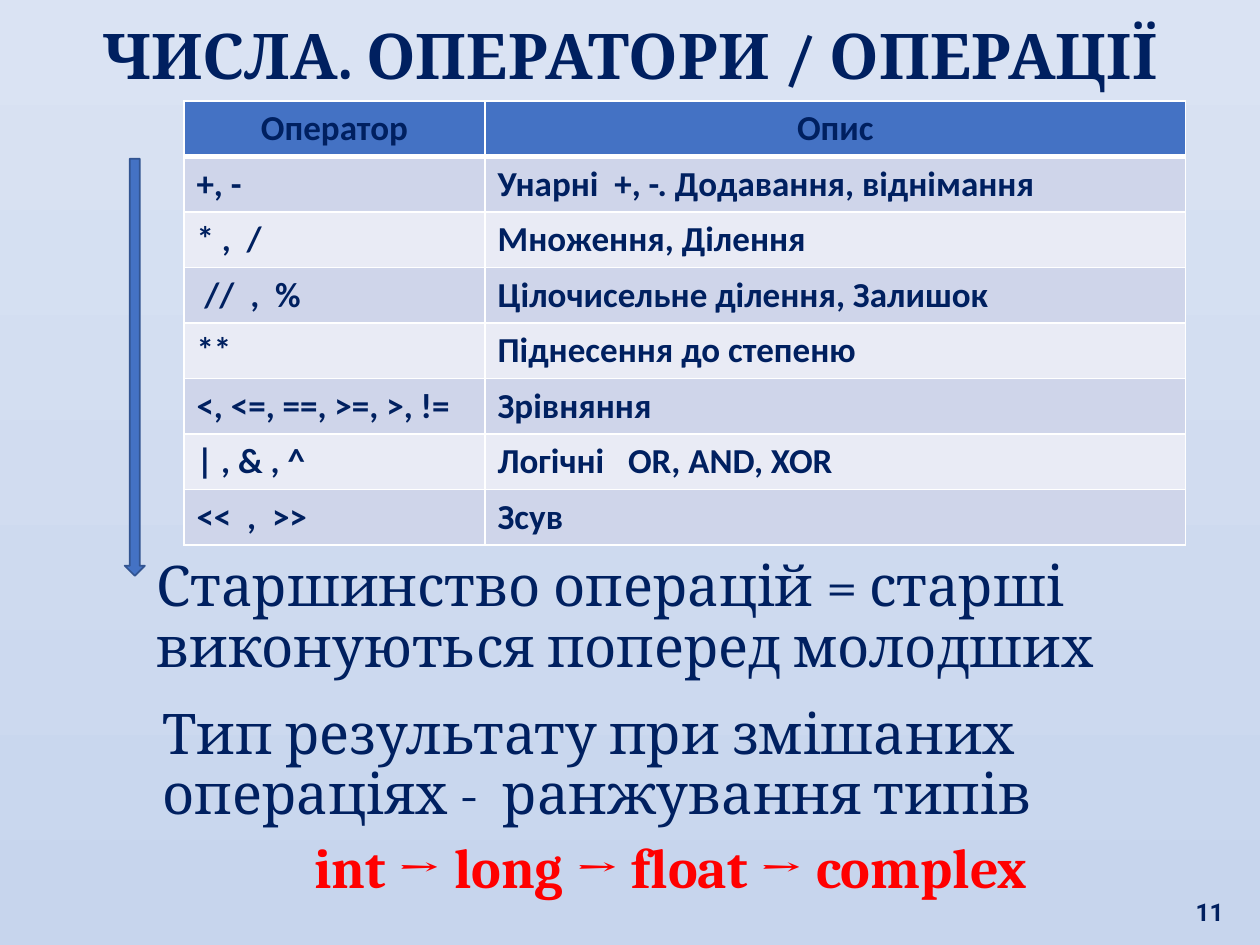
from lxml import etree
from pptx import Presentation
from pptx import util as u
from pptx.dml.color import RGBColor
from pptx.enum import shapes, text
from pptx.oxml.ns import qn

THEME = {
    "ink": RGBColor.from_string("002060"),
    "accent": RGBColor.from_string("4472C4"),
    "accent_edge": RGBColor.from_string("325491"),
    "alert": RGBColor.from_string("FF0000"),
    "bands": [RGBColor.from_string("E9EBF5"), RGBColor.from_string("CFD5EA")],
    "background": [RGBColor.from_string("DAE3F3"), RGBColor.from_string("C7D5ED")],
    "border": "FFFFFF",
    "title": {"name": "Cambria", "size": u.Pt(36), "bold": True},
    "body": {"name": "Cambria", "size": u.Pt(32), "bold": False},
    "ranking": {"name": "Cambria", "size": u.Pt(32), "bold": True},
    "table": {"name": "Calibri", "size": u.Pt(20), "bold": True},
    "number": {"name": "Roboto", "size": u.Pt(14), "bold": True},
}
ALIGN = text.PP_ALIGN

presentation = Presentation()
presentation.slide_width, presentation.slide_height = u.Inches(10), u.Inches(7.5)
slide = presentation.slides.add_slide(presentation.slide_layouts.get_by_name("Two Content"))


def box(left, top, width, height):
    """Turn percentages of the slide's size into lengths."""
    across, down = presentation.slide_width / 100, presentation.slide_height / 100
    return int(left * across), int(top * down), int(width * across), int(height * down)


def write(paragraph, words, style, align=ALIGN.LEFT, color="ink", **spacing):
    run = paragraph.add_run()
    run.text = words
    run.font.color.rgb = THEME[color]
    for name, value in THEME[style].items():
        setattr(run.font, name, value)
    for name, value in {"alignment": align, **spacing}.items():
        setattr(paragraph, name, value)


# Background
fill = slide.background.fill
fill.gradient()
fill.gradient_angle = 270
for stop, color in zip(fill.gradient_stops, THEME["background"]):
    stop.color.rgb = color

# Title and the two body texts
title, precedence, result_type = slide.placeholders
areas = [(1.2, 1.07, 97.6, 9.47), (11.4, 58.4, 82.7, 14.27), (11.9, 74, 82.7, 22.27)]
for shape, area in zip((title, precedence, result_type), areas):
    shape.left, shape.top, shape.width, shape.height = box(*area)
    frame = shape.text_frame
    frame.word_wrap = True
    frame.auto_size = text.MSO_AUTO_SIZE.NONE
    frame.vertical_anchor = text.MSO_ANCHOR.TOP

write(title.text_frame.paragraphs[0], "ЧИСЛА. ОПЕРАТОРИ / ОПЕРАЦІЇ", "title", ALIGN.CENTER)

spacing = {"line_spacing": 0.9, "space_before": u.Pt(7.5)}
write(precedence.text_frame.paragraphs[0],
      "Старшинство операцій = старші виконуються поперед молодших", "body", **spacing)
write(result_type.text_frame.paragraphs[0],
      "Тип результату при змішаних операціях -  ранжування типів", "body", **spacing)
write(result_type.text_frame.add_paragraph(),
      "int → long → float → complex", "ranking", ALIGN.CENTER, "alert", **spacing)

for shape in (precedence, result_type):
    for paragraph in shape.text_frame.paragraphs:
        properties = paragraph._p.get_or_add_pPr()
        properties.set("marL", "0")
        properties.set("indent", "0")
        etree.SubElement(properties, qn("a:buNone"))

# Operator table
operators = [
    ("Оператор", "Опис"),
    ("+, -", "Унарні  +, -. Додавання, віднімання"),
    ("* ,  /", "Множення, Ділення"),
    (" //  ,  %", "Цілочисельне ділення, Залишок"),
    ("**", "Піднесення до степеню"),
    ("<, <=, ==, >=, >, !=", "Зрівняння"),
    ("| , & , ^", "Логічні   OR, AND, XOR"),
    ("<<  ,  >>", "Зсув"),
]
table = slide.shapes.add_table(len(operators), 2, *box(14.6, 10.67, 79.5, 46.27)).table
for column, share in zip(table.columns, (23.9, 55.6)):
    column.width = int(presentation.slide_width * share / 100)

for row, entries in enumerate(operators):
    for column, words in enumerate(entries):
        cell = table.cell(row, column)
        write(cell.text_frame.paragraphs[0], words, "table",
              ALIGN.LEFT if row else ALIGN.CENTER)
        properties = cell._tc.get_or_add_tcPr()
        for side in ("lnL", "lnR", "lnT", "lnB"):
            under_header = (row, side) in ((0, "lnB"), (1, "lnT"))
            line = etree.SubElement(properties, qn(f"a:{side}"),
                                    w=str(u.Pt(3 if under_header else 1)))
            solid = etree.SubElement(line, qn("a:solidFill"))
            etree.SubElement(solid, qn("a:srgbClr"), val=THEME["border"])
        cell.fill.solid()
        cell.fill.fore_color.rgb = THEME["bands"][row % 2] if row else THEME["accent"]

# Arrow of falling precedence
arrow = slide.shapes.add_shape(shapes.MSO_SHAPE.DOWN_ARROW, *box(9.9, 16.8, 1.6, 44.13))
arrow.shadow.inherit = False
arrow.fill.solid()
arrow.fill.fore_color.rgb = THEME["accent"]
arrow.line.color.rgb = THEME["accent_edge"]
arrow.line.width = u.Pt(1)

# Slide number
number = slide.shapes.add_textbox(*box(93.3, 92, 4.8, 6.67)).text_frame
number.word_wrap = True
number.vertical_anchor = text.MSO_ANCHOR.BOTTOM
write(number.paragraphs[0], "11", "number", ALIGN.RIGHT)

presentation.save("out.pptx")
